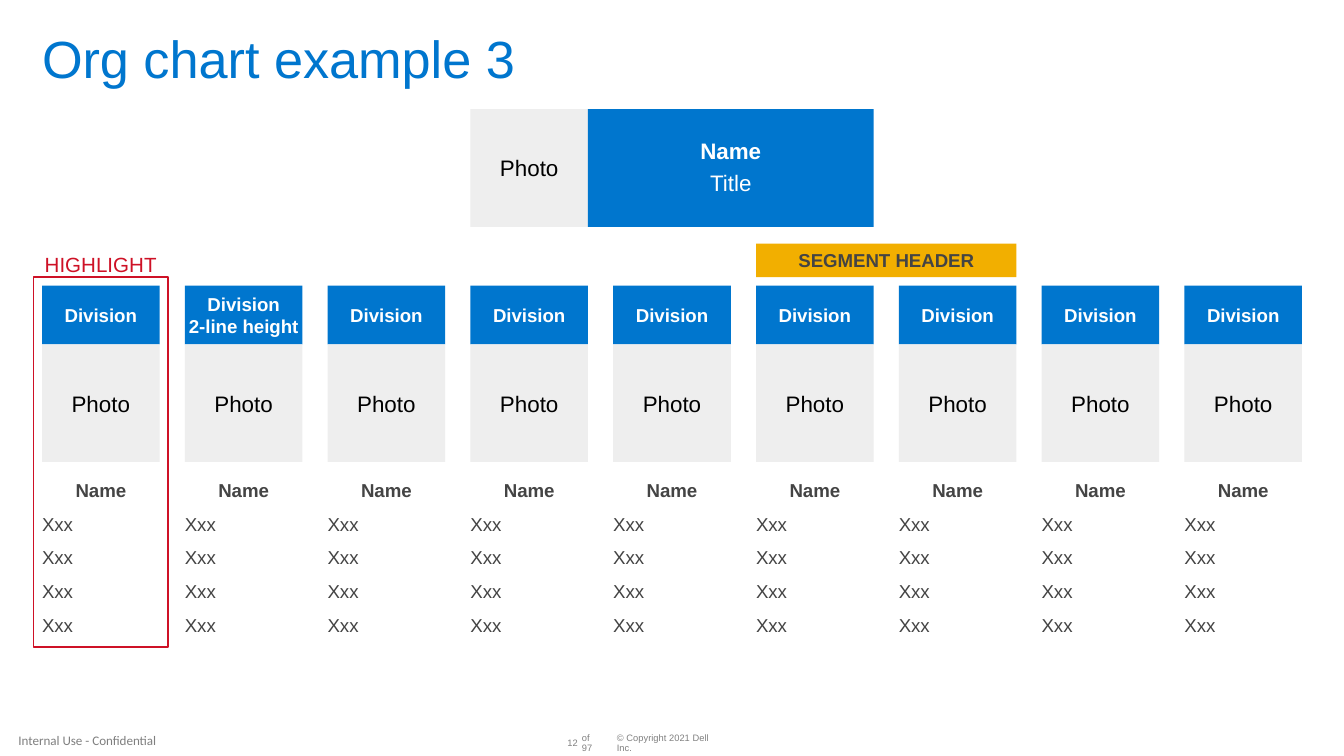
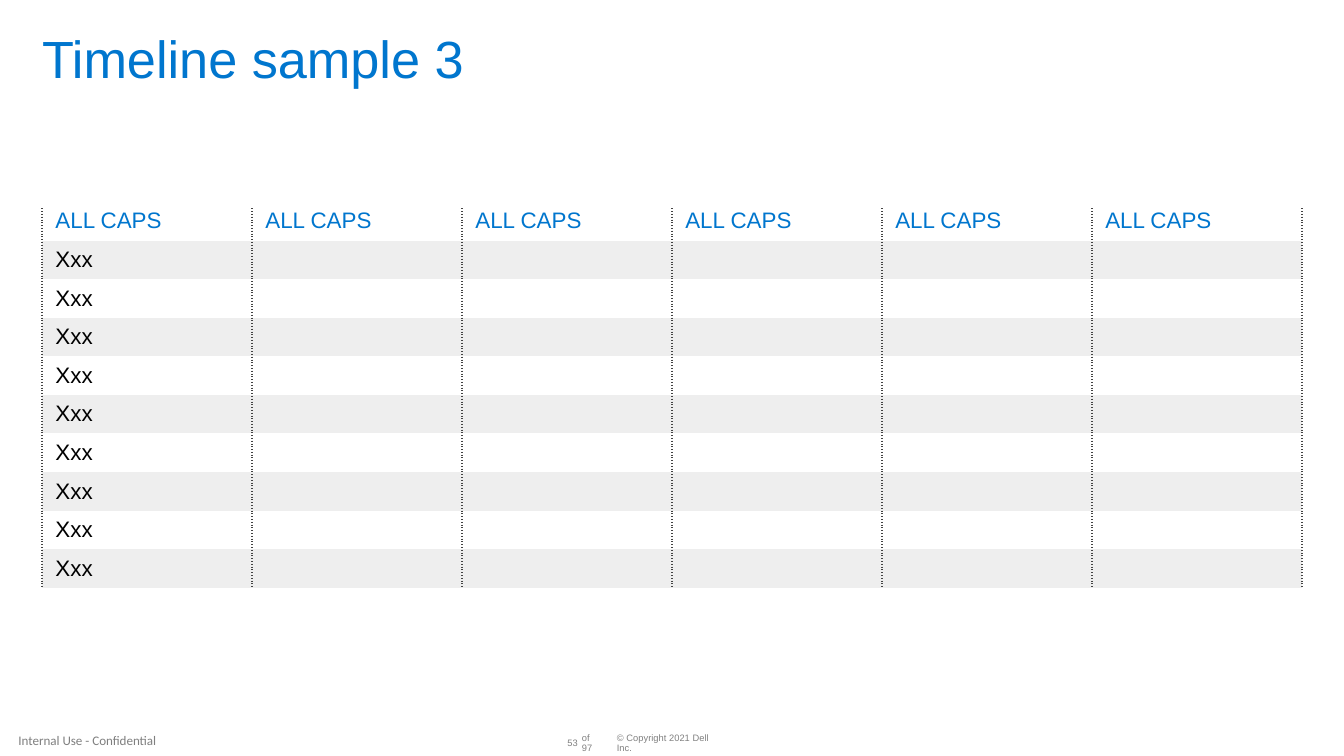
from dataclasses import dataclass

from lxml import etree
from pptx import Presentation
from pptx.dml.color import RGBColor
from pptx.enum.shapes import MSO_SHAPE
from pptx.enum.text import MSO_ANCHOR, MSO_AUTO_SIZE, PP_ALIGN
from pptx.oxml.ns import qn
from pptx.util import Inches, Pt

RECTANGLE = MSO_SHAPE.RECTANGLE
TOP, MIDDLE = MSO_ANCHOR.TOP, MSO_ANCHOR.MIDDLE
LEFT, CENTER, RIGHT = PP_ALIGN.LEFT, PP_ALIGN.CENTER, PP_ALIGN.RIGHT
NO_AUTOFIT = MSO_AUTO_SIZE.NONE


@dataclass(frozen=True)
class Theme:
    font: str = "Arial"
    label_font: str = "Calibri"
    blue: str = "0076CE"
    gray: str = "EEEEEE"
    yellow: str = "F2AF00"
    red: str = "CE1126"
    dark: str = "444444"
    black: str = "000000"
    white: str = "FFFFFF"
    footer: str = "808080"
    label: str = "7F7F7F"
    title_size: float = 28
    large_size: float = 12
    highlight_size: float = 11
    small_size: float = 10
    label_size: float = 7
    footer_size: float = 5


THEME = Theme()
SLIDE_WIDTH = 10
SLIDE_HEIGHT = SLIDE_WIDTH * 9 / 16
MARGIN = 5 / 16
CONTENT_WIDTH = SLIDE_WIDTH - 2 * MARGIN
NO_INSETS = (0, 0, 0, 0)
TIGHT_INSETS = (0.01, 0, 0.01, 0)
CELL_INSETS = (0.1, 0.05, 0.1, 0.05)
HEADER_INSETS = (0.1, 0, 0.1, 0.05)
PLAIN_TABLE_STYLE = "{2D5ABB26-0587-4C30-8999-92F81FD0307C}"

DIVISIONS = 9
CARD_WIDTH = 7 / 8
COLUMN_PITCH = (CONTENT_WIDTH - CARD_WIDTH) / (DIVISIONS - 1)
LEAD_COLUMN = 3
SEGMENT_COLUMN = 5


@dataclass(frozen=True)
class Line:
    """One paragraph of text with its look."""
    text: str
    size: float
    color: str
    bold: bool = False
    align: PP_ALIGN = LEFT
    spacing: float = 1.0
    before: float = 0
    after: float = 0
    font: str = THEME.font


def rgb(color):
    return RGBColor.from_string(color)


def write_lines(frame, lines):
    for index, line in enumerate(lines):
        para = frame.add_paragraph() if index else frame.paragraphs[0]
        para.alignment = line.align
        para.line_spacing = line.spacing
        para.space_before = Pt(line.before)
        para.space_after = Pt(line.after)
        span = para.add_run()
        span.text = line.text
        span.font.name = line.font
        span.font.size = Pt(line.size)
        span.font.bold = line.bold
        span.font.color.rgb = rgb(line.color)


def set_insets(target, insets):
    """Set left, top, right and bottom margins of a text frame or a cell."""
    left, top, right, bottom = (Inches(value) for value in insets)
    target.margin_left, target.margin_top = left, top
    target.margin_right, target.margin_bottom = right, bottom


def format_frame(frame, lines, insets, anchor, wrap=True):
    frame.auto_size = NO_AUTOFIT
    frame.word_wrap = wrap
    frame.vertical_anchor = anchor
    set_insets(frame, insets)
    write_lines(frame, lines)


def add_text(shapes, place, lines, anchor=TOP, wrap=True):
    box = shapes.add_textbox(*(Inches(value) for value in place))
    format_frame(box.text_frame, lines, NO_INSETS, anchor, wrap)


def add_rectangle(shapes, place, fill=None, outline=None, lines=(),
                  insets=TIGHT_INSETS):
    box = shapes.add_shape(RECTANGLE, *(Inches(value) for value in place))
    box.shadow.inherit = False
    if fill:
        box.fill.solid()
        box.fill.fore_color.rgb = rgb(fill)
    else:
        box.fill.background()
    if outline:
        box.line.color.rgb = rgb(outline)
        box.line.width = Pt(1)
    else:
        box.line.fill.background()
    format_frame(box.text_frame, lines, insets, MIDDLE)


def add_photo(shapes, left, top):
    add_rectangle(shapes, (left, top, CARD_WIDTH, CARD_WIDTH), THEME.gray,
                  lines=[Line("Photo", THEME.large_size, THEME.black, align=CENTER)],
                  insets=CELL_INSETS)


def add_footer(page, number):
    def footer_line(text, **look):
        return Line(text, THEME.footer_size, THEME.footer, spacing=0.9, **look)

    for left, width, line in (
        (4.59, 0.81, footer_line("© Copyright 2021 Dell Inc.")),
        (4.2, 0.1, footer_line(str(number), align=RIGHT)),
        (4.33, 0.15, footer_line("of 97")),
    ):
        add_text(page.shapes, (left, 5.49, width, 0.08), [line], MIDDLE)
    label = Line("Internal Use - Confidential", THEME.label_size, THEME.label,
                 align=CENTER, font=THEME.label_font)
    add_text(page.shapes, (0, 5.39, 1.3, 0.23), [label], MIDDLE)


def add_page(deck, title, number):
    """Add a slide with the shared title style and footer."""
    page = deck.slides.add_slide(deck.slide_layouts[5])
    heading = page.shapes.title
    heading.left, heading.top = Inches(MARGIN), Inches(0.25)
    heading.width, heading.height = Inches(CONTENT_WIDTH), Inches(0.42)
    line = Line(title, THEME.title_size, THEME.blue, spacing=0.9)
    format_frame(heading.text_frame, [line], NO_INSETS, TOP)
    add_footer(page, number)
    return page


def column_left(column):
    return MARGIN + column * COLUMN_PITCH


def add_leader(page):
    shapes = page.shapes.add_group_shape().shapes
    left, top = column_left(LEAD_COLUMN), 13 / 16
    add_photo(shapes, left, top)
    lines = [Line(text, THEME.large_size, THEME.white, bold, CENTER, 0.9, after=4.2)
             for text, bold in (("Name", True), ("Title", False))]
    add_rectangle(shapes, (left + CARD_WIDTH, top, 2 * COLUMN_PITCH, CARD_WIDTH),
                  THEME.blue, lines=lines, insets=(0.1, 0, 0.1, 0))


def add_division(page, column, heading):
    shapes = page.shapes.add_group_shape().shapes
    left, top, heading_height = column_left(column), 17 / 8, 7 / 16
    lines = [Line(text, THEME.small_size, THEME.white, True, CENTER) for text in heading]
    add_rectangle(shapes, (left, top, CARD_WIDTH, heading_height), THEME.blue, lines=lines)
    add_photo(shapes, left, top + heading_height)
    name = Line("Name", THEME.small_size, THEME.dark, True, CENTER)
    member = Line("Xxx", THEME.small_size, THEME.dark, before=6)
    add_text(shapes, (left, 57 / 16, CARD_WIDTH, 1.18), [name] + [member] * 4)


def add_highlight(page):
    shapes = page.shapes.add_group_shape().shapes
    line = Line("HIGHLIGHT", THEME.highlight_size, THEME.red, align=CENTER)
    add_text(shapes, (0.33, 15 / 8, 0.84, 0.19), [line], wrap=False)
    add_rectangle(shapes, (0.25, 33 / 16, 1, 2.75), outline=THEME.red)


def build_org_chart(deck):
    page = add_page(deck, "Org chart example 3", 12)
    add_leader(page)
    for column in range(DIVISIONS):
        heading = ["Division", "2-line height"] if column == 1 else ["Division"]
        add_division(page, column, heading)
    segment = Line("SEGMENT HEADER", THEME.small_size, THEME.dark, True, CENTER)
    add_rectangle(page.shapes,
                  (column_left(SEGMENT_COLUMN), 29 / 16, COLUMN_PITCH + CARD_WIDTH, 0.25),
                  THEME.yellow, lines=[segment])
    add_highlight(page)


def add_side_borders(cell):
    """Draw dotted left and right borders, placed ahead of the cell's fill."""
    properties = cell._tc.get_or_add_tcPr()
    for index, side in enumerate(("a:lnL", "a:lnR")):
        border = etree.Element(qn(side), w=str(Pt(1)))
        fill = etree.SubElement(border, qn("a:solidFill"))
        etree.SubElement(fill, qn("a:srgbClr"), val=THEME.dark)
        etree.SubElement(border, qn("a:prstDash"), val="sysDot")
        properties.insert(index, border)


def size_empty_cell(cell):
    """Give an empty cell the body font, so that its row keeps its height."""
    para = cell.text_frame.paragraphs[0]
    ending = etree.SubElement(para._p, qn("a:endParaRPr"), sz=str(THEME.large_size * 100))
    etree.SubElement(ending, qn("a:latin"), typeface=THEME.font)


def format_cell(cell, text, is_header, shaded):
    cell.vertical_anchor = MIDDLE
    set_insets(cell, HEADER_INSETS if is_header else CELL_INSETS)
    if shaded:
        cell.fill.solid()
        cell.fill.fore_color.rgb = rgb(THEME.gray)
    else:
        cell.fill.background()
    add_side_borders(cell)
    if text:
        color = THEME.blue if is_header else THEME.black
        write_lines(cell.text_frame, [Line(text, THEME.large_size, color)])
    else:
        size_empty_cell(cell)


def add_timeline(page, rows):
    header_height, body_height = 0.24, 2.58
    frame = page.shapes.add_table(
        len(rows), len(rows[0]), Inches(MARGIN), Inches(1.55),
        Inches(CONTENT_WIDTH), Inches(header_height + body_height))
    table = frame.table
    table.first_row = table.horz_banding = False
    for style in frame.element.iter(qn("a:tableStyleId")):
        style.text = PLAIN_TABLE_STYLE
    for row, texts in enumerate(rows):
        height = body_height / (len(rows) - 1) if row else header_height
        table.rows[row].height = Inches(height)
        for column, text in enumerate(texts):
            format_cell(table.cell(row, column), text, row == 0, row % 2 == 1)


def build_timeline(deck):
    page = add_page(deck, "Timeline sample 3", 53)
    add_timeline(page, [["ALL CAPS"] * 6] + [["Xxx"] + [""] * 5] * 9)


def main():
    deck = Presentation()
    deck.slide_width, deck.slide_height = Inches(SLIDE_WIDTH), Inches(SLIDE_HEIGHT)
    build_org_chart(deck)
    build_timeline(deck)
    deck.save("out.pptx")


if __name__ == "__main__":
    main()
